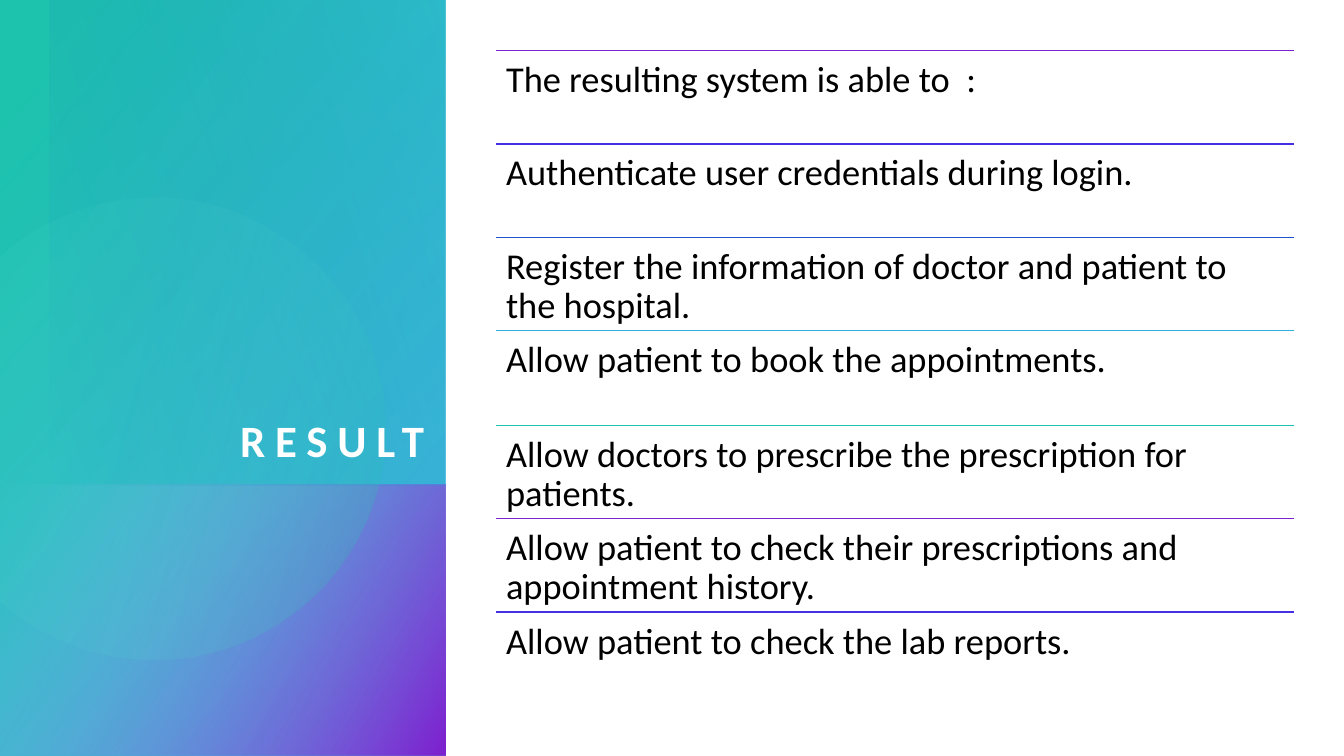
import math

from lxml import etree
from pptx import Presentation
from pptx import util as u
from pptx.dml import color
from pptx.enum import shapes, text
from pptx.oxml import ns

PX = 9525
SLIDE_SIZE = 1280, 720
FONT = "Calibri"
RULE_COLOURS = ["7D22CF", "4430E0", "1E54CE", "30AFE0", "1DC3AC"]
RESULTS = [
    "The resulting system is able to  :",
    "Authenticate user credentials during login.",
    "Register the information of doctor and patient to the hospital.",
    "Allow patient to book the appointments.",
    "Allow doctors to prescribe the prescription for patients.",
    "Allow patient to check their prescriptions and appointment history.",
    "Allow patient to check the lab reports.",
]


def px(*lengths):
    return [u.Emu(round(length * PX)) for length in lengths]


def rgb(hex_colour):
    return color.RGBColor.from_string(hex_colour)


def paint_gradient(shape, angle, stops):
    shape.shadow.inherit = False
    shape.line.fill.background()
    shape.fill.gradient()
    shape.fill.gradient_angle = 360 - angle
    for stop, (position, hex_colour, _) in zip(shape.fill.gradient_stops, stops):
        stop.position = position / 100
        stop.color.rgb = rgb(hex_colour)
    tints = shape._element.spPr.iter(ns.qn("a:srgbClr"))
    for tint, (_, _, opacity) in zip(tints, stops):
        etree.SubElement(tint, ns.qn("a:alpha")).set("val", str(opacity * 1000))


def add_wash(slide, box, angle, stops):
    wash = slide.shapes.add_shape(shapes.MSO_SHAPE.RECTANGLE, *px(*box))
    paint_gradient(wash, angle, stops)


def add_cut_circle(slide, edge, centre_x, centre_y, radius):
    limit = math.acos((edge - centre_x) / radius)
    steps = 120
    angles = [limit * (2 * i / steps - 1) for i in range(steps + 1)]
    points = [(round((centre_x + radius * math.cos(a)) * PX),
               round((centre_y + radius * math.sin(a)) * PX)) for a in angles]
    outline = slide.shapes.build_freeform(*points[0])
    outline.add_line_segments(points[1:], close=True)
    paint_gradient(outline.convert_to_shape(), 14,
                   [(36, "6AE9D7", 6), (100, "1DC3AC", 26)])


def add_words(slide, box, words, size, hex_colour, inset=0):
    holder = slide.shapes.add_textbox(*px(*box))
    frame = holder.text_frame
    frame.word_wrap = True
    margin, = px(inset)
    frame.margin_left = frame.margin_right = margin
    frame.margin_top = frame.margin_bottom = margin
    paragraph = frame.paragraphs[0]
    run = paragraph.add_run()
    run.text = words
    run.font.name = FONT
    run.font.size = u.Pt(size)
    run.font.color.rgb = rgb(hex_colour)
    return frame, paragraph, run


def add_title_panel(slide, left, top, width, height):
    split = 462
    strip = 47
    add_wash(slide, (left, top, width, height), 40,
             [(8, "1DC3AC", 100), (100, "30AFE0", 89)])
    add_wash(slide, (left, top + split, width, height - split), 30,
             [(0, "83CFEC", 0), (99, "7D22CF", 100)])
    add_cut_circle(slide, left, left + 147, top + 408, 220)
    add_wash(slide, (left + strip, top, width - strip, split), 160,
             [(0, "30AFE0", 29), (100, "1E54CE", 0)])
    frame, heading, run = add_words(
        slide, (left + 48, top + 91, width - 68, 353), "RESULT", 32, "FFFFFF")
    frame.vertical_anchor = text.MSO_ANCHOR.BOTTOM
    heading.alignment = text.PP_ALIGN.RIGHT
    run.font.bold = True
    run._r.get_or_add_rPr().set("spc", "700")


def add_rule(slide, left, top, width, hex_colour):
    rule = slide.shapes.add_connector(
        shapes.MSO_CONNECTOR.STRAIGHT, *px(left, top, left + width, top))
    rule.line.color.rgb = rgb(hex_colour)
    rule.line.width = u.Pt(1)
    etree.SubElement(rule._element.spPr, ns.qn("a:effectLst"))


def add_result_list(slide, left, top, width, height):
    row_height = height / len(RESULTS)
    for i, result in enumerate(RESULTS):
        row_top = round(top + i * row_height)
        add_rule(slide, left, row_top, width, RULE_COLOURS[i % len(RULE_COLOURS)])
        _, line, _ = add_words(slide, (left, row_top, width, row_height),
                               result, 26, "000000", 10)
        line.line_spacing = 0.9


def main():
    deck = Presentation()
    deck.slide_width, deck.slide_height = px(*SLIDE_SIZE)
    slide = deck.slides.add_slide(deck.slide_layouts[6])
    slide.background.fill.solid()
    slide.background.fill.fore_color.rgb = rgb("FFFFFF")
    add_title_panel(slide, 0, 0, 424, 720)
    add_result_list(slide, 472, 48, 760, 624)
    deck.save("out.pptx")


if __name__ == "__main__":
    main()
